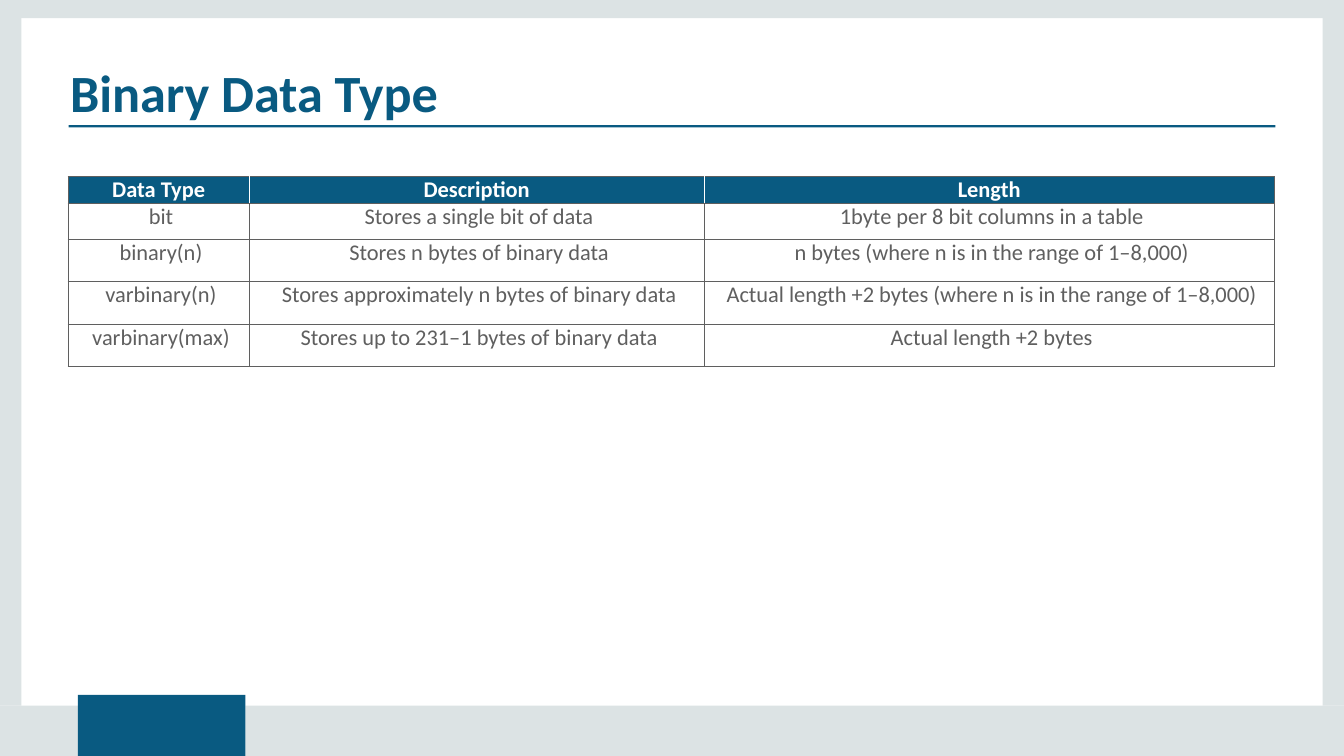
from dataclasses import dataclass

from lxml.etree import SubElement
from pptx import Presentation
from pptx.dml.color import RGBColor as RGB
from pptx.enum.shapes import MSO_SHAPE as Shape
from pptx.enum.text import MSO_ANCHOR as Anchor, PP_ALIGN as Align
from pptx.oxml.ns import qn
from pptx.util import Pt


@dataclass(frozen=True)
class Theme:
    font: str = "Calibri"
    title_size: int = 56
    table_size: int = 24
    blue: str = "095A81"
    frame: str = "DCE3E4"
    grey: str = "5F5F5F"
    white: str = "FFFFFF"


class SlideBuilder:
    def __init__(self, slide, theme):
        self.slide = slide
        self.theme = theme

    def style(self, paragraph, size, color, bold=False):
        font = paragraph.font
        font.name, font.size, font.bold = self.theme.font, Pt(size), bold
        font.color.rgb = RGB.from_string(color)

    def block(self, left, top, width, height, color):
        block = self.slide.shapes.add_shape(
            Shape.RECTANGLE, Pt(left), Pt(top), Pt(width), Pt(height))
        block.shadow.inherit = False
        block.fill.solid()
        block.fill.fore_color.rgb = RGB.from_string(color)
        block.line.fill.background()

    def title(self, text, left, top, width, height):
        frame = self.slide.shapes.add_textbox(
            Pt(left), Pt(top), Pt(width), Pt(height)).text_frame
        frame.word_wrap = True
        frame.margin_left = frame.margin_right = 0
        frame.margin_top = frame.margin_bottom = 0
        frame.text = text
        self.style(frame.paragraphs[0], self.theme.title_size, self.theme.blue, True)

    def borders(self, cell, left, right):
        properties = cell._tc.get_or_add_tcPr()
        sides = {"L": left, "R": right, "T": self.theme.grey, "B": self.theme.grey}
        for position, (side, color) in enumerate(sides.items()):
            line = SubElement(properties, qn(f"a:ln{side}"), w=str(Pt(1)))
            SubElement(SubElement(line, qn("a:solidFill")), qn("a:srgbClr"), val=color)
            properties.insert(position, line)

    def cell(self, cell, text, header, first, last):
        theme = self.theme
        cell.margin_right = cell.margin_top = cell.margin_bottom = 0
        cell.margin_left = Pt(0 if header else 5)
        cell.vertical_anchor = Anchor.TOP
        cell.text = text
        paragraph = cell.text_frame.paragraphs[0]
        paragraph.alignment = Align.CENTER
        self.style(paragraph, theme.table_size, theme.white if header else theme.grey, header)
        if header:
            cell.fill.solid()
            cell.fill.fore_color.rgb = RGB.from_string(theme.blue)
        else:
            cell.fill.background()
        inner = theme.white if header else theme.grey
        self.borders(cell, theme.grey if first else inner, theme.grey if last else inner)

    def table(self, rows, left, top, widths, heights):
        table = self.slide.shapes.add_table(
            len(rows), len(widths), Pt(left), Pt(top),
            Pt(sum(widths)), Pt(sum(heights))).table
        table.first_row = table.horz_banding = False
        for column, width in zip(table.columns, widths):
            column.width = Pt(width)
        for r, (texts, height) in enumerate(zip(rows, heights)):
            table.rows[r].height = Pt(height)
            for c, text in enumerate(texts):
                self.cell(table.cell(r, c), text, r == 0, c == 0, c == len(widths) - 1)


BINARY_TYPES = [
    ("Data Type", "Description", "Length"),
    ("bit", "Stores a single bit of data", "1byte per 8 bit columns in a table"),
    ("binary(n)", "Stores n bytes of binary data",
     "n bytes (where n is in the range of 1–8,000)"),
    ("varbinary(n)", "Stores approximately n bytes of binary data",
     "Actual length +2 bytes (where n is in the range of 1–8,000)"),
    ("varbinary(max)", "Stores up to 231–1 bytes of binary data",
     "Actual length +2 bytes"),
]


def main():
    width, height = 1440, 810
    presentation = Presentation()
    presentation.slide_width, presentation.slide_height = Pt(width), Pt(height)
    theme = Theme()
    page = SlideBuilder(
        presentation.slides.add_slide(presentation.slide_layouts[6]), theme)

    # Frame around the page, with the blue tab in its bottom edge
    side, top, bottom = 23, 19.5, 756
    tab_left, tab_width, tab_top = 83.5, 179.5, 744.5
    tab_right = tab_left + tab_width
    for left in (width - side, 0):
        page.block(left, top, side, bottom - top, theme.frame)
    for left, right in ((tab_right, width), (0, tab_left)):
        page.block(left, bottom, right - left, height - bottom, theme.frame)
    page.block(0, 0, width, top, theme.frame)
    page.block(tab_left, tab_top, tab_width, height - tab_top, theme.blue)

    # Title and its rule
    page.block(73.5, 134, 1293, 2.5, theme.blue)
    page.title("Binary Data Type", 75, 65, 1292, 58)

    # Table of binary types
    page.table(BINARY_TYPES, 73, 189, (194, 487.5, 611), (28.8, 39, 44.6, 46, 45.4))

    presentation.save("out.pptx")


if __name__ == "__main__":
    main()
